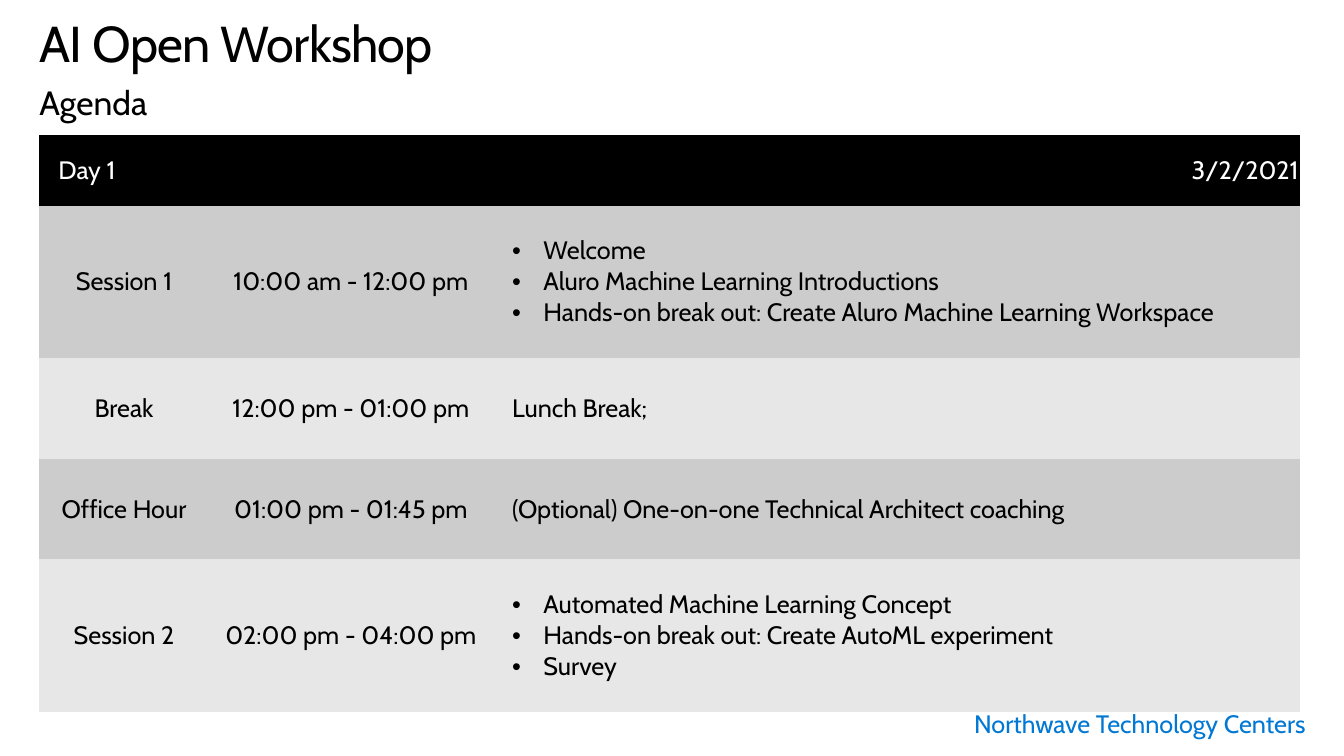
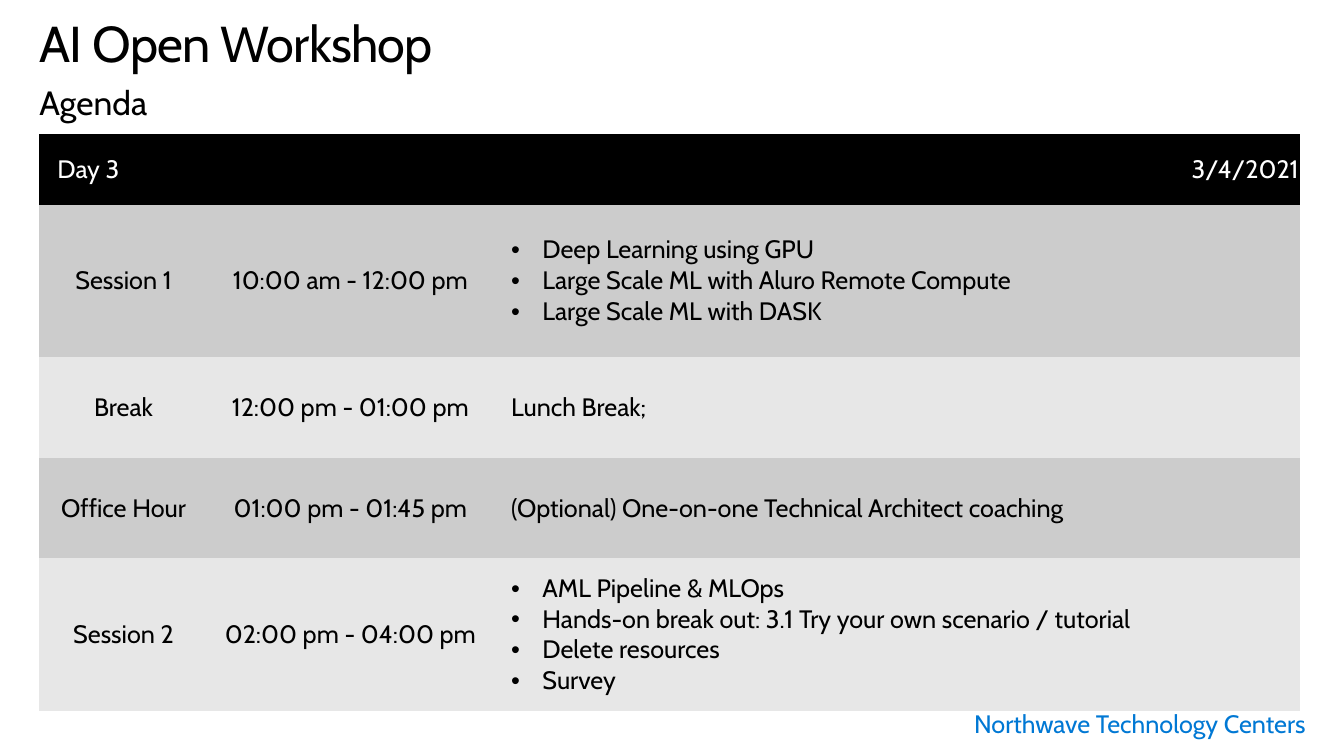
import pptx
import pptx.dml.color
import pptx.enum.text
import pptx.oxml
import pptx.oxml.ns
import pptx.util
from pptx.util import Inches

ALIGN = pptx.enum.text.PP_ALIGN
ANCHOR = pptx.enum.text.MSO_ANCHOR
NO_GRID_STYLE = "{2D5ABB26-0587-4C30-8999-92F81FD0307C}"


def color(hex_text):
    return pptx.dml.color.RGBColor.from_string(hex_text)


def set_all(target, values):
    for name, value in values.items():
        setattr(target, name, value)


class AgendaDeck:
    """Holds the shared style and the slide being built."""

    FONT = "Cabin"
    BLACK, WHITE, BLUE = "000000", "FFFFFF", "0078D4"
    BANDS = ("CCCCCC", "E7E7E7")
    LEFT, WIDTH = 0.39, 12.56
    COLUMNS = (1.5, 3, 8)
    ROWS = (0.7, 1.51, 1, 1, 1.51)
    INDENT = Inches(0.31)

    def __init__(self):
        self.deck = pptx.Presentation()
        set_all(self.deck, {"slide_width": Inches(13.33), "slide_height": Inches(7.5)})
        self.page = None

    def add_page(self):
        self.page = self.deck.slides.add_slide(self.deck.slide_layouts[6])

    def add_span(self, para, text, size=18, ink=BLACK, align=ALIGN.LEFT, spacing=None):
        para.alignment = align
        span = para.add_run()
        span.text = text
        set_all(span.font, {"name": self.FONT, "size": pptx.util.Pt(size)})
        span.font.color.rgb = color(ink)
        if spacing is not None:
            span._r.get_or_add_rPr().set("spc", str(spacing))

    def bullet(self, para):
        props = para._p.get_or_add_pPr()
        props.set("marL", str(self.INDENT))
        props.set("indent", str(-self.INDENT))
        namespace = pptx.oxml.ns.nsdecls("a")
        props.append(pptx.oxml.parse_xml(f'<a:buFont {namespace} typeface="Arial"/>'))
        props.append(pptx.oxml.parse_xml(f'<a:buChar {namespace} char="•"/>'))

    def text(self, text, left, top, width, height, anchor=ANCHOR.TOP, **style):
        box = self.page.shapes.add_textbox(
            Inches(left), Inches(top), Inches(width), Inches(height))
        set_all(box.text_frame, {
            "word_wrap": True, "vertical_anchor": anchor, "margin_left": 0,
            "margin_top": 0, "margin_right": 0, "margin_bottom": 0})
        self.add_span(box.text_frame.paragraphs[0], text, **style)

    def heading(self, title, subtitle):
        self.text(title, self.LEFT, 0.12, self.WIDTH, 0.61, size=36, spacing=-50)
        self.text(subtitle, self.LEFT, 0.81, self.WIDTH, 0.4, size=24)

    def footer(self, text):
        self.text(text, 9.33, 6.97, 3.62, 0.42, anchor=ANCHOR.MIDDLE,
                  ink=self.BLUE, align=ALIGN.RIGHT)

    def cell(self, cell, content, fill, inset, **style):
        cell.fill.solid()
        cell.fill.fore_color.rgb = color(fill)
        set_all(cell, {
            "vertical_anchor": ANCHOR.MIDDLE,
            "margin_left": Inches(inset), "margin_right": Inches(0.01),
            "margin_top": Inches(inset - 0.04), "margin_bottom": Inches(inset - 0.04)})
        # A list becomes bullets, a string one plain paragraph
        bulleted = isinstance(content, list)
        for index, line in enumerate(content if bulleted else [content]):
            frame = cell.text_frame
            para = frame.add_paragraph() if index else frame.paragraphs[0]
            if bulleted:
                self.bullet(para)
            if line:
                self.add_span(para, line, **style)

    def agenda(self, day, date, sessions, top, inset):
        frame = self.page.shapes.add_table(
            len(self.ROWS), len(self.COLUMNS), Inches(self.LEFT), Inches(top),
            Inches(sum(self.COLUMNS)), Inches(sum(self.ROWS)))
        table = frame.table
        set_all(table, {"first_row": False, "horz_banding": False})
        table._tbl.tblPr.find(pptx.oxml.ns.qn("a:tableStyleId")).text = NO_GRID_STYLE
        for column, width in zip(table.columns, self.COLUMNS):
            column.width = Inches(width)
        for row, height in zip(table.rows, self.ROWS):
            row.height = Inches(height)

        # Header row
        aligns = (ALIGN.LEFT, ALIGN.LEFT, ALIGN.RIGHT)
        for column, content in enumerate((day, "", date)):
            self.cell(table.cell(0, column), content, self.BLACK, inset,
                      ink=self.WHITE, align=aligns[column])

        # Banded session rows
        aligns = (ALIGN.CENTER, ALIGN.CENTER, ALIGN.LEFT)
        for row, session in enumerate(sessions, 1):
            for column, content in enumerate(session):
                self.cell(table.cell(row, column), content, self.BANDS[(row - 1) % 2],
                          inset, align=aligns[column])


# Timetable shared by every day
SLOTS = (
    ("Session 1", "10:00 am - 12:00 pm"),
    ("Break", "12:00 pm - 01:00 pm"),
    ("Office Hour", "01:00 pm - 01:45 pm"),
    ("Session 2", "02:00 pm - 04:00 pm"),
)
LUNCH = "Lunch Break;"
COACHING = "(Optional) One-on-one Technical Architect coaching"

DAYS = (
    {"day": "Day 1", "date": "3/2/2021", "top": 1.34, "inset": 0.19,
     "morning": ["Welcome",
                 "Aluro Machine Learning Introductions",
                 "Hands-on break out: Create Aluro Machine Learning Workspace"],
     "afternoon": ["Automated Machine Learning Concept",
                   "Hands-on break out: Create AutoML experiment",
                   "Survey"]},
    {"day": "Day 3", "date": "3/4/2021", "top": 1.33, "inset": 0.18,
     "morning": ["Deep Learning using GPU",
                 "Large Scale ML with Aluro Remote Compute",
                 "Large Scale ML with DASK"],
     "afternoon": ["AML Pipeline & MLOps",
                   "Hands-on break out: 3.1 Try your own scenario / tutorial",
                   "Delete resources",
                   "Survey"]},
)


def main():
    workshop = AgendaDeck()
    for plan in DAYS:
        topics = (plan["morning"], LUNCH, COACHING, plan["afternoon"])
        sessions = [(*slot, topic) for slot, topic in zip(SLOTS, topics)]
        workshop.add_page()
        workshop.footer("Northwave Technology Centers")
        workshop.heading("AI Open Workshop", "Agenda")
        workshop.agenda(plan["day"], plan["date"], sessions, plan["top"], plan["inset"])
    workshop.deck.save("out.pptx")


if __name__ == "__main__":
    main()
